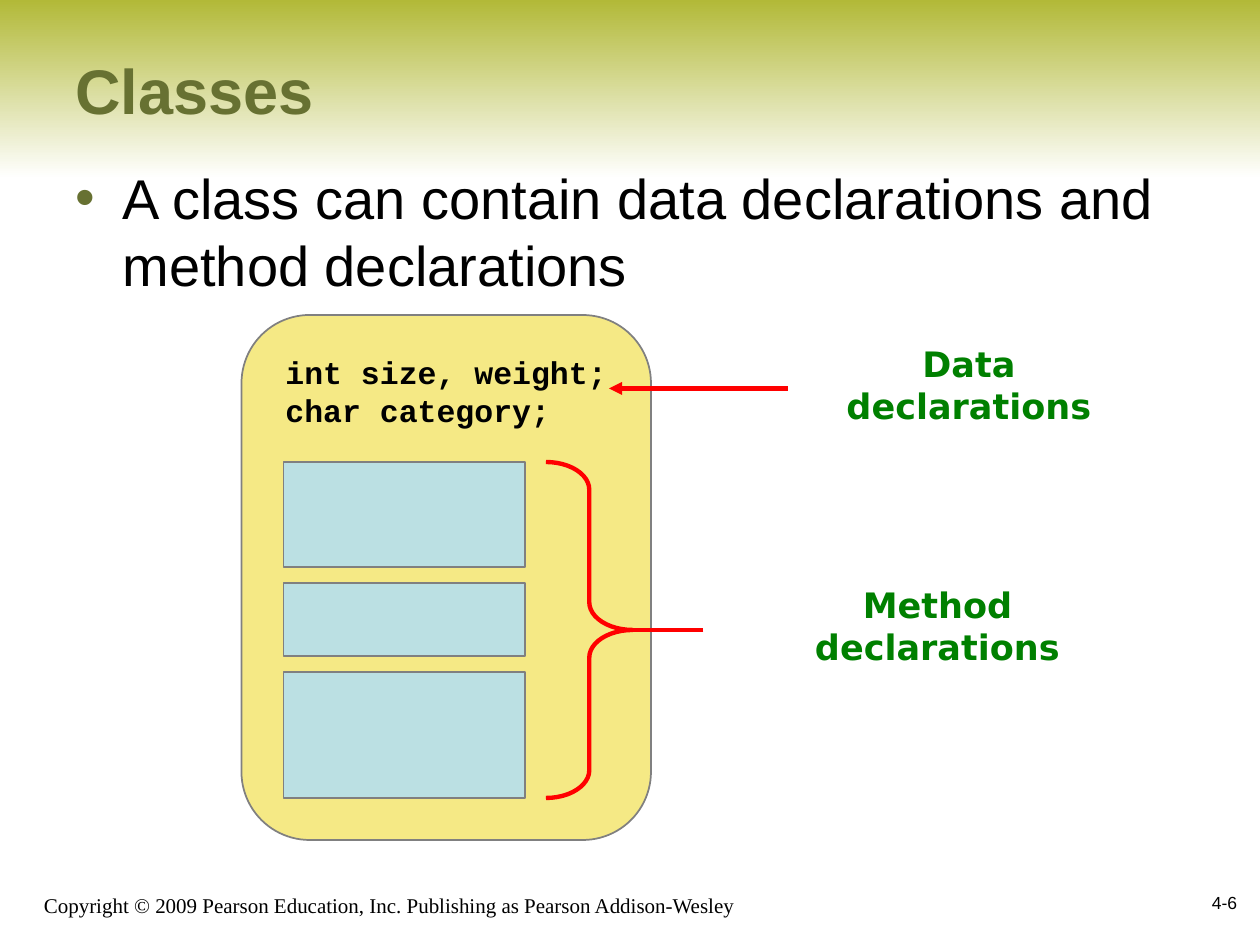
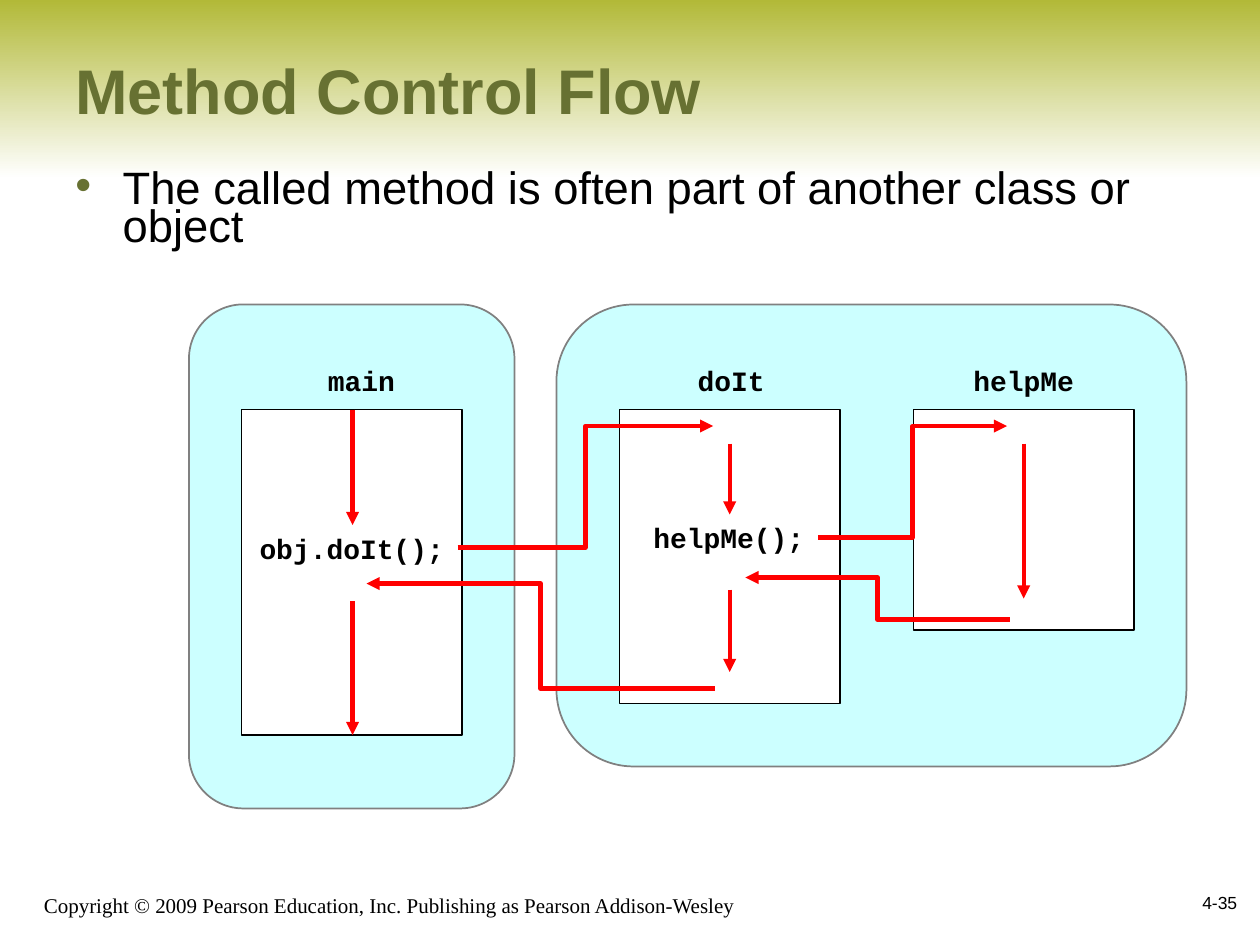
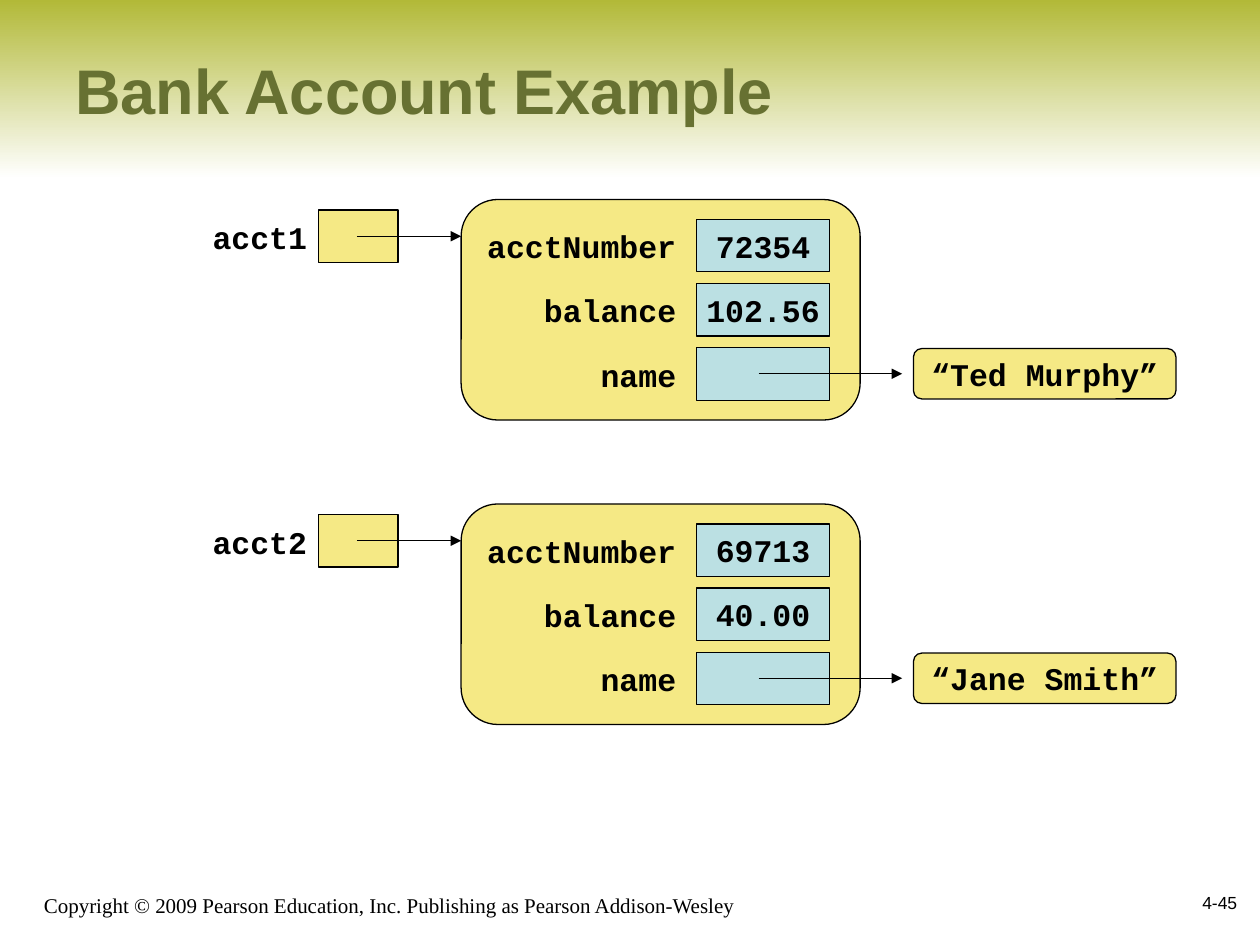
from lxml import etree
from pptx import Presentation
from pptx import util as u
from pptx.dml.color import RGBColor
from pptx.enum import shapes, text
from pptx.oxml.ns import qn

COLORS = {
    "band": "B2B938", "white": "FFFFFF", "black": "000000", "olive": "677132",
    "sand": "F5E985", "blue": "BBE0E3", "cyan": "CCFFFF", "gray": "808080",
    "red": "FF0000", "green": "008000",
}
SANS, CODE, SERIF, LABEL = "Arial", "Courier New", "Times New Roman", "DejaVu Sans"
COPYRIGHT = ("Copyright © 2009 Pearson Education, Inc. "
             "Publishing as Pearson Addison-Wesley")

PRESET = shapes.MSO_SHAPE
ALIGN = text.PP_ALIGN
ANCHOR = text.MSO_ANCHOR
PAGE_W, PAGE_H = 720, 540


def rgb(name):
    return RGBColor.from_string(COLORS[name])


def pts(*values):
    return [u.Pt(value) for value in values]


# Text
def write(holder, words, size, font, color="black", bold=False,
          align=ALIGN.LEFT, anchor=ANCHOR.MIDDLE, wrap=False):
    frame = holder.text_frame
    frame.text = words
    frame.word_wrap = wrap
    frame.vertical_anchor = anchor
    for paragraph in frame.paragraphs:
        paragraph.alignment = align
        for run in paragraph.runs:
            run.font.size = u.Pt(size)
            run.font.name = font
            run.font.bold = bold
            run.font.color.rgb = rgb(color)
    return frame


def add_text(slide, box, words, size, font, **style):
    holder = slide.shapes.add_textbox(*pts(*box))
    return write(holder, words, size, font, **style)


def add_code(slide, box, words, size, align=ALIGN.CENTER, **style):
    add_text(slide, box, words, size, CODE, bold=True, align=align, **style)


def add_bullet(slide, box, words, size, spacing=1.0):
    frame = add_text(slide, box, words, size, SANS, anchor=ANCHOR.TOP, wrap=True)
    paragraph = frame.paragraphs[0]
    paragraph.line_spacing = spacing
    props = paragraph._p.get_or_add_pPr()
    props.set("marL", str(u.Pt(27)))
    props.set("indent", str(-u.Pt(27)))
    color = etree.SubElement(props, qn("a:buClr"))
    etree.SubElement(color, qn("a:srgbClr"), val=COLORS["olive"])
    etree.SubElement(props, qn("a:buFont"), typeface=SANS)
    etree.SubElement(props, qn("a:buChar"), char="•")


# Shapes and lines
def add_block(slide, preset, box, fill=None, line=None, width=1.0):
    block = slide.shapes.add_shape(preset, *pts(*box))
    block.shadow.inherit = False
    if fill:
        block.fill.solid()
        block.fill.fore_color.rgb = rgb(fill)
    else:
        block.fill.background()
    if line:
        block.line.color.rgb = rgb(line)
        block.line.width = u.Pt(width)
    else:
        block.line.fill.background()
    return block


def add_line(slide, start, end, color="red", width=2.5, bent=False, arrow=True):
    kind = shapes.MSO_CONNECTOR.ELBOW if bent else shapes.MSO_CONNECTOR.STRAIGHT
    link = slide.shapes.add_connector(kind, *pts(*start, *end))
    link.line.color.rgb = rgb(color)
    link.line.width = u.Pt(width)
    if arrow:
        etree.SubElement(link.line._get_or_add_ln(), qn("a:tailEnd"), type="triangle")
    etree.SubElement(link._element.spPr, qn("a:effectLst"))


# Shared frame of every slide
def add_page(deck, title, number):
    slide = deck.slides.add_slide(deck.slide_layouts[6])
    band = add_block(slide, PRESET.RECTANGLE, (0, 0, PAGE_W, 102))
    band.fill.gradient()
    band.fill.gradient_angle = 270
    for stop, color in zip(band.fill.gradient_stops, ("band", "white")):
        stop.color.rgb = rgb(color)
    add_text(slide, (18, 498, 438, 30), COPYRIGHT, 12, SERIF,
             anchor=ANCHOR.BOTTOM, wrap=True)
    add_text(slide, (564, 498, 150, 36), number, 10, SANS,
             align=ALIGN.RIGHT, wrap=True)
    add_text(slide, (36, 6, 654, 90), title, 36, SANS,
             color="olive", bold=True, wrap=True)
    return slide


def add_classes(deck):
    slide = add_page(deck, "Classes", "4-6")
    add_bullet(slide, (36, 90, 654, 324),
               "A class can contain data declarations and method declarations", 32)

    # Class body with its data and methods
    add_block(slide, PRESET.FLOWCHART_ALTERNATE_PROCESS, (138, 180, 234, 300),
              "sand", "gray")
    for top, height in ((264, 60), (333, 42), (384, 72)):
        add_block(slide, PRESET.RECTANGLE, (162, top, 138, height), "blue", "gray")
    data = add_block(slide, PRESET.RECTANGLE, (156, 198, 198, 50.4), "sand")
    write(data, "int size, weight;\nchar category;", 18, CODE, bold=True)

    # Captions
    for box, words in (((458, 192.6, 191.5, 54), "Data declarations"),
                       ((425, 330.5, 221.5, 54), "Method declarations")):
        add_text(slide, box, words, 20, LABEL, color="green", bold=True,
                 align=ALIGN.CENTER, wrap=True)

    # Pointers from the captions
    add_line(slide, (450, 222), (348, 222))
    brace = add_block(slide, PRESET.RIGHT_BRACE, (312, 264, 49.5, 192),
                      line="red", width=2.5)
    brace.adjustments[0] = 0.32
    add_line(slide, (402, 360), (361.5, 360), arrow=False)


def add_control_flow(deck):
    slide = add_page(deck, "Method Control Flow", "4-35")
    add_bullet(slide, (36, 96, 654, 52.5),
               "The called method is often part of another class or object",
               25.9, spacing=0.7)

    # Objects and their methods
    for box in ((318, 174, 360, 264), (108, 174, 186, 288)):
        add_block(slide, PRESET.FLOWCHART_ALTERNATE_PROCESS, box, "cyan", "gray")
    for name, left, height, name_left in (("main", 138, 186, 143.5),
                                          ("doIt", 354, 168, 354.8),
                                          ("helpMe", 522, 126, 522)):
        add_block(slide, PRESET.RECTANGLE, (left, 234, 126, height), "white", "black")
        add_code(slide, (name_left, 204, 126, 26.5), name, 16)

    # Calls, each as wide as its method
    for call, left, top in (("obj.doIt();", 138, 300), ("helpMe();", 353.5, 294)):
        add_code(slide, (left, top, 126, 26.5), call, 16)

    # Flow inside each method
    for x, top, bottom in ((201.5, 234, 300), (201.5, 343.5, 420),
                           (417, 253.5, 294), (417, 337, 384), (585, 253.5, 342)):
        add_line(slide, (x, top), (x, bottom))

    # Calls and returns between methods
    for start, end in (((261.5, 313), (407.5, 243.5)), ((467.5, 307.2), (575.5, 243.5)),
                       ((577, 354), (426, 330)), ((408.5, 393.5), (209.5, 333.5))):
        add_line(slide, start, end, bent=True)


def add_account(slide, top, variable, number, balance, owner):
    # Variable and the object it refers to
    add_block(slide, PRESET.RECTANGLE, (182, top + 6, 45.5, 30), "sand", "black", 0.75)
    add_code(slide, (114, top + 7.2, 68.5, 28.8), variable, 18, ALIGN.RIGHT)
    add_block(slide, PRESET.ROUNDED_RECTANGLE, (263.5, top, 228, 126),
              "sand", "black", 0.75)
    add_line(slide, (204, top + 21), (263.5, top + 21), "black", 0.75)

    # Fields
    for row, (field, value) in enumerate((("acctNumber", number),
                                          ("balance", balance), ("name", ""))):
        y = top + 11.4 + row * 36.7
        cell = add_block(slide, PRESET.RECTANGLE, (398, y, 76, 30),
                         "blue", "black", 0.75)
        if value:
            write(cell, value, 18, CODE, bold=True, align=ALIGN.CENTER)
        add_code(slide, (271, y + 0.9, 122.5, 28.8), field, 18, ALIGN.RIGHT)

    # Owner's name
    name = add_block(slide, PRESET.ROUNDED_RECTANGLE, (522, top + 85.2, 150, 28.8),
                     "sand", "black", 0.75)
    write(name, owner, 18, CODE, bold=True, align=ALIGN.CENTER)
    add_line(slide, (433.5, top + 99.6), (515.5, top + 99.6), "black", 0.75)


def add_bank_accounts(deck):
    slide = add_page(deck, "Bank Account Example", "4-45")
    add_account(slide, 114, "acct1", "72354", "102.56", "“Ted Murphy”")
    add_account(slide, 288, "acct2", "69713", "40.00", "“Jane Smith”")


def main():
    deck = Presentation()
    deck.slide_width, deck.slide_height = pts(PAGE_W, PAGE_H)
    add_classes(deck)
    add_control_flow(deck)
    add_bank_accounts(deck)
    deck.save("out.pptx")


if __name__ == "__main__":
    main()
